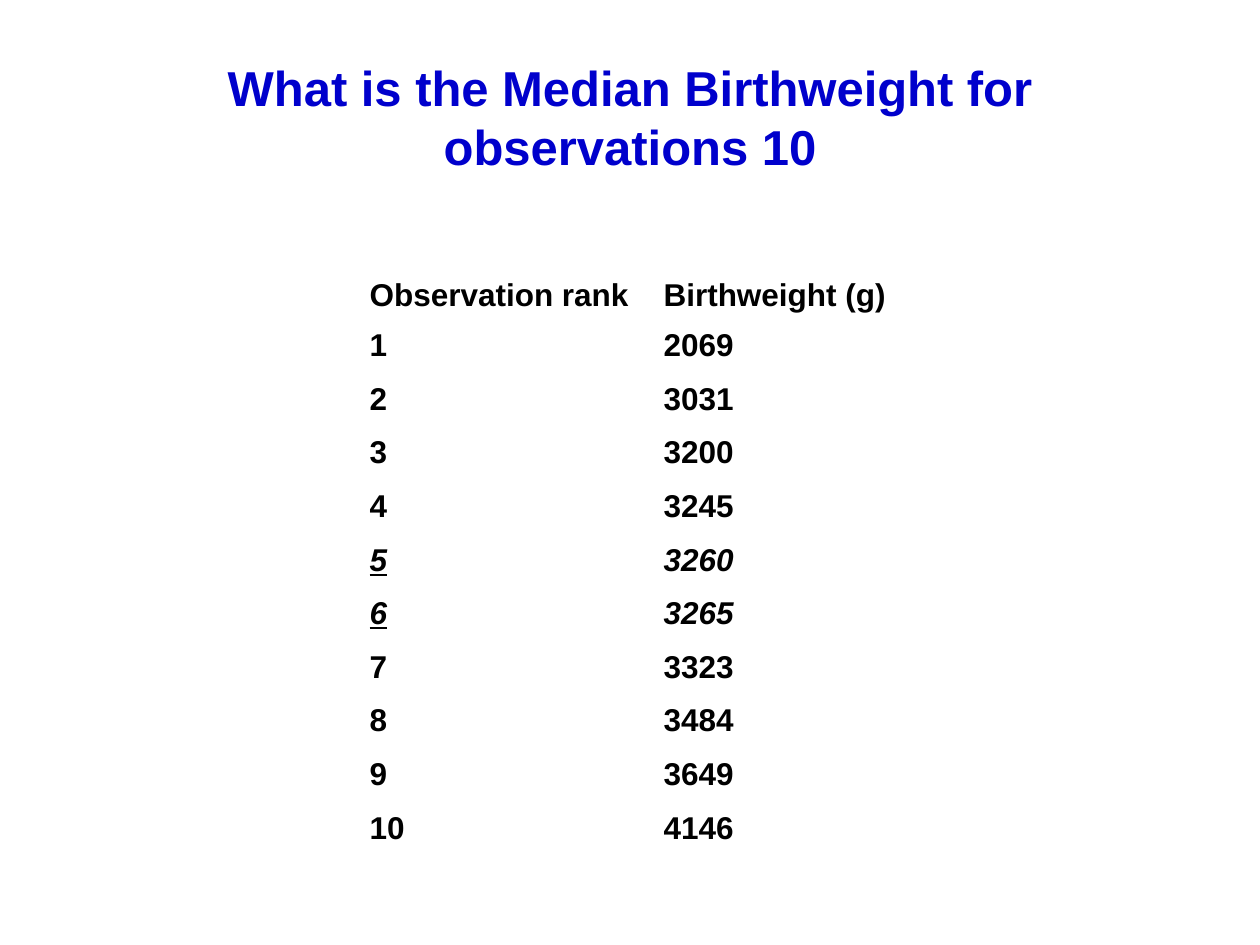
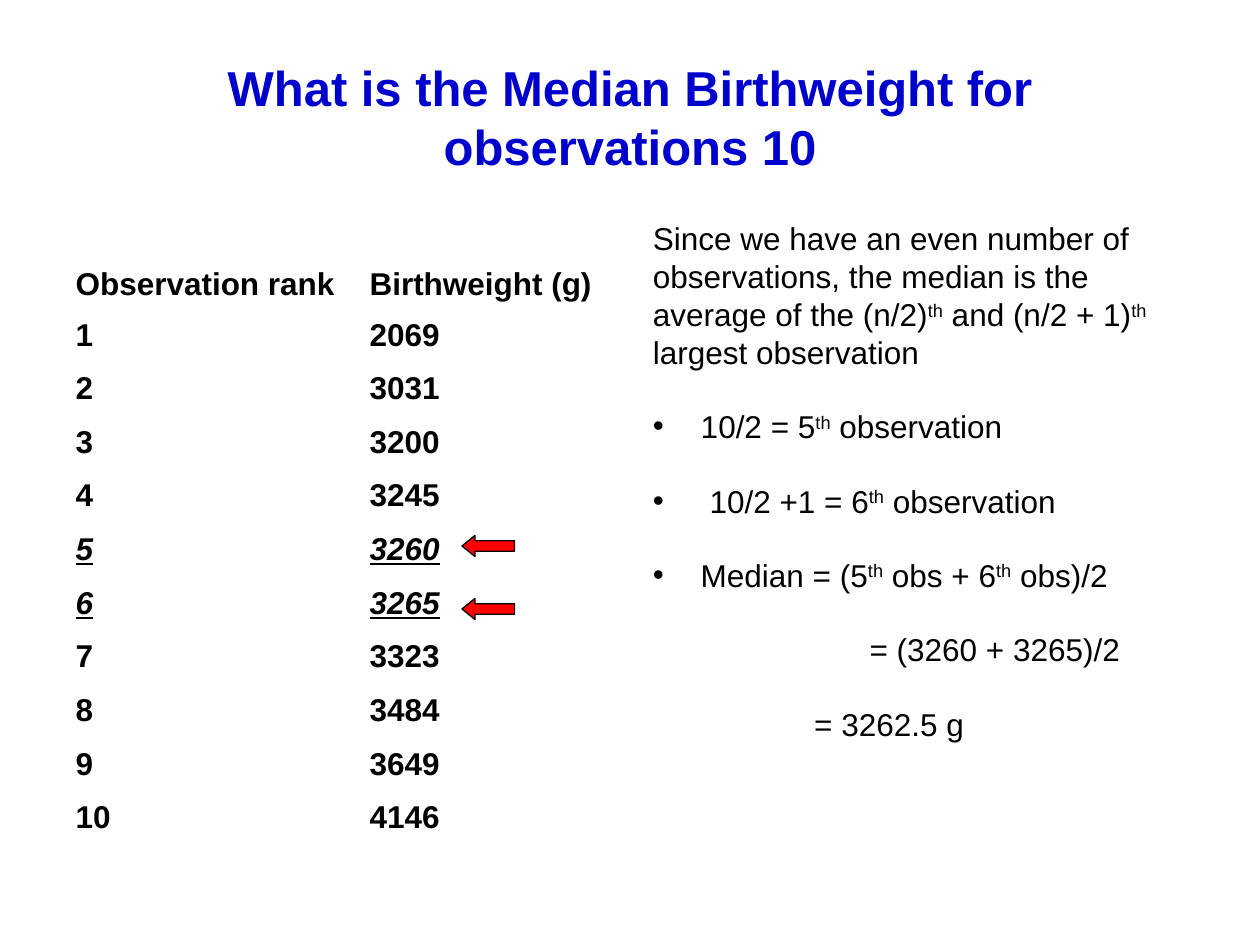
from dataclasses import dataclass

from lxml import etree
from pptx import Presentation
from pptx import util as u
from pptx.dml.color import RGBColor
from pptx.enum import shapes, text
from pptx.oxml import ns


@dataclass(frozen=True)
class Theme:
    font: str = "Arial"
    title: RGBColor = RGBColor(0x00, 0x00, 0xCC)
    ink: RGBColor = RGBColor(0x00, 0x00, 0x00)
    arrow: RGBColor = RGBColor(0xFF, 0x00, 0x00)
    title_size: u.Pt = u.Pt(28)
    body_size: u.Pt = u.Pt(18)


T = Theme()
prs = Presentation()
prs.slide_width, prs.slide_height = u.Inches(10), u.Inches(7.5)


def grid(*units):
    return [round(prs.slide_width * n / 120) for n in units]


def style(r, size, color, bold=False, italic=False, underline=False):
    f = r.font
    f.name, f.size, f.color.rgb = T.font, size, color
    f.bold, f.italic, f.underline = bold, italic, underline


TITLE = "What is the Median Birthweight for observations 10"
HEADER = ("Observation rank", "Birthweight (g)")
WEIGHTS = (2069, 3031, 3200, 3245, 3260, 3265, 3323, 3484, 3649, 4146)
MIDDLE = (5, 6)
ROWS = [HEADER] + [(str(n), str(w)) for n, w in enumerate(WEIGHTS, 1)]
HEAD_H, FIRST_H, TABLE_H = 8.4, 4.8, 59.2
ROW_H = (TABLE_H - HEAD_H - FIRST_H) / (len(ROWS) - 2)
HEIGHTS = [HEAD_H, FIRST_H] + [ROW_H] * (len(ROWS) - 2)

for left, top, underlined in ((34, 22, (0,)), (6, 21, (0, 1))):
    s = prs.slides.add_slide(prs.slide_layouts[5])
    sp = s.shapes.title
    sp.left, sp.top, sp.width, sp.height = grid(6, 3.6, 108, 15)
    tf = sp.text_frame
    tf.text = TITLE
    tf.vertical_anchor = text.MSO_ANCHOR.MIDDLE
    p = tf.paragraphs[0]
    p.alignment = text.PP_ALIGN.CENTER
    style(p.runs[0], T.title_size, T.title, bold=True)

    tbl = s.shapes.add_table(len(ROWS), 2, *grid(left, top, 53, TABLE_H)).table
    tbl.first_row = tbl.horz_banding = False
    for col, width in zip(tbl.columns, grid(28, 25)):
        col.width = width
    for row, height in zip(tbl.rows, grid(*HEIGHTS)):
        row.height = height
    for i, values in enumerate(ROWS):
        for j, value in enumerate(values):
            cell = tbl.cell(i, j)
            cell.fill.background()
            cell.vertical_anchor = text.MSO_ANCHOR.BOTTOM
            cell.text = value
            mid = i in MIDDLE
            style(cell.text_frame.paragraphs[0].runs[0], T.body_size, T.ink,
                  bold=True, italic=mid, underline=mid and j in underlined)

LINE_GAP, STEP_GAP = 4.3, 25.2
STEPS = (
    ("Since we have an even number of", 0, 0, False),
    ("observations, the median is the", LINE_GAP, 0, False),
    ("average of the (n/2)^th^ and (n/2 + 1)^th", LINE_GAP, 0, False),
    ("largest observation", LINE_GAP, 0, False),
    ("10/2 = 5^th^ observation", STEP_GAP, 0.38, True),
    ("10/2 +1 = 6^th^ observation", STEP_GAP, 0.45, True),
    ("Median = (5^th^ obs + 6^th^ obs)/2", STEP_GAP, 0.38, True),
    ("= (3260 + 3265)/2", STEP_GAP, 1.72, False),
    ("= 3262.5 g", STEP_GAP, 1.28, False),
)
tf = s.shapes.add_textbox(*grid(61, 21, 53, 59.4)).text_frame
tf.word_wrap = True
for i, (line, gap, indent, bullet) in enumerate(STEPS):
    p = tf.add_paragraph() if i else tf.paragraphs[0]
    p.line_spacing = 0.8
    p.space_before = u.Pt(gap)
    pPr = p._p.get_or_add_pPr()
    pPr.set("marL", str(u.Inches(indent)))
    if bullet:
        pPr.set("indent", str(-u.Inches(indent)))
        etree.SubElement(pPr, ns.qn("a:buFont")).set("typeface", T.font)
        etree.SubElement(pPr, ns.qn("a:buChar")).set("char", "•")
    for k, part in enumerate(line.split("^")):
        r = p.add_run()
        r.text = part
        style(r, T.body_size, T.ink)
        if k % 2:
            r._r.get_or_add_rPr().set("baseline", "30000")

for top in (51, 57):
    sp = s.shapes.add_shape(shapes.MSO_SHAPE.LEFT_ARROW, *grid(44, top, 5, 2))
    sp.adjustments[0], sp.adjustments[1] = 0.5, 0.62
    sp.shadow.inherit = False
    sp.fill.solid()
    sp.fill.fore_color.rgb = T.arrow
    sp.line.color.rgb = T.ink
    sp.line.width = u.Pt(0.75)

prs.save("out.pptx")
